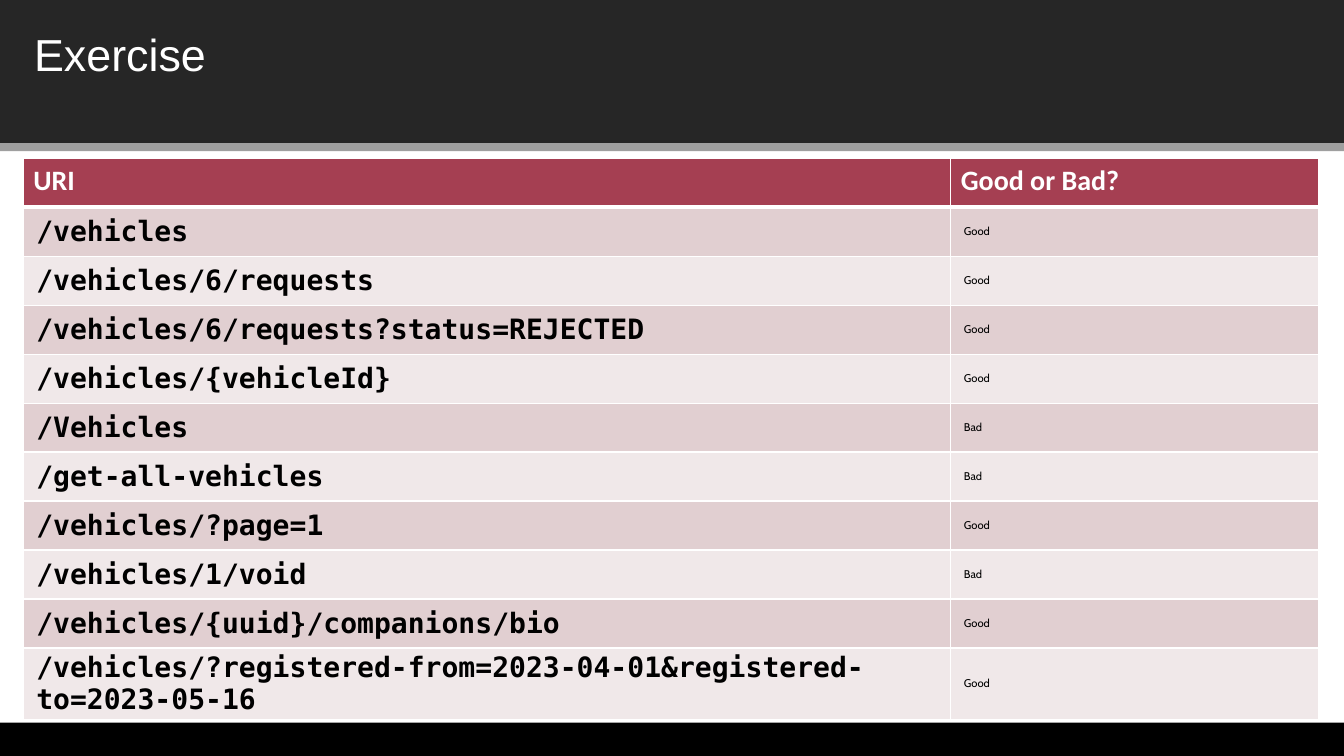
"""Build the slide that sorts vehicle URIs into good and bad ones."""
from dataclasses import dataclass

from lxml.etree import SubElement
from pptx import Presentation
from pptx.dml.color import RGBColor
from pptx.enum.shapes import MSO_SHAPE as Preset
from pptx.enum.text import MSO_ANCHOR as Anchor
from pptx.oxml.ns import qn
from pptx.slide import Slide
from pptx.table import _Cell as Cell
from pptx.text.text import TextFrame
from pptx.util import Inches, Pt

COLORS = {
    "banner": "262626",
    "rule": "9F9F9F",
    "footer": "000000",
    "header": "A53F52",
    "odd": "E1CFD1",
    "even": "F0E8E9",
    "light": "FFFFFF",
    "dark": "000000",
}
WIDTH, HEIGHT = Inches(13.33), Inches(7.5)
COLUMN, ROW = WIDTH / 1333, HEIGHT / 750
TABLE_COLUMNS = (920, 365)
TABLE_ROW, LAST_ROW = 48.6, 71
HEADINGS = ("URI", "Good or Bad?")


@dataclass(frozen=True)
class Area:
    left: float
    top: float
    width: float
    height: float

    def lengths(self) -> tuple[int, int, int, int]:
        return (int(self.left * COLUMN), int(self.top * ROW),
                int(self.width * COLUMN), int(self.height * ROW))


@dataclass(frozen=True)
class Bar:
    area: Area
    color: str


@dataclass(frozen=True)
class Style:
    font: str
    size: int
    color: str
    bold: bool = False


@dataclass(frozen=True)
class Answer:
    uri: str
    verdict: str


BARS = (
    Bar(Area(0, 0, 1333, 142), "banner"),
    Bar(Area(0, 142, 1333, 8), "rule"),
    Bar(Area(0, 717, 1333, 33), "footer"),
)
TITLE_AREA = Area(24, 22, 1284, 64)
TABLE_AREA = Area(23, 157, sum(TABLE_COLUMNS), 10 * TABLE_ROW + LAST_ROW)
TITLE_STYLE = Style("Arial", 32, "light")
HEADING_STYLE = Style("Calibri", 20, "light", True)
BODY_STYLES = (Style("DejaVu Sans Mono", 20, "dark", True), Style("Cabin", 8, "dark"))
ANSWERS = (
    Answer("/vehicles", "Good"),
    Answer("/vehicles/6/requests", "Good"),
    Answer("/vehicles/6/requests?status=REJECTED", "Good"),
    Answer("/vehicles/{vehicleId}", "Good"),
    Answer("/Vehicles", "Bad"),
    Answer("/get-all-vehicles", "Bad"),
    Answer("/vehicles/?page=1", "Good"),
    Answer("/vehicles/1/void", "Bad"),
    Answer("/vehicles/{uuid}/companions/bio", "Good"),
    Answer("/vehicles/?registered-from=2023-04-01&registered-to=2023-05-16", "Good"),
)


def color_of(name: str) -> RGBColor:
    return RGBColor.from_string(COLORS[name])


def write(frame: TextFrame, text: str, style: Style) -> None:
    frame.text = text
    span = frame.paragraphs[0].runs[0]
    span.font.name = style.font
    span.font.size = Pt(style.size)
    span.font.bold = style.bold
    span.font.color.rgb = color_of(style.color)


def draw_bar(page: Slide, bar: Bar) -> None:
    shape = page.shapes.add_shape(Preset.RECTANGLE, *bar.area.lengths())
    shape.shadow.inherit = False
    shape.fill.solid()
    shape.fill.fore_color.rgb = color_of(bar.color)
    shape.line.fill.background()


def draw_title(page: Slide) -> None:
    box = page.shapes.add_textbox(*TITLE_AREA.lengths())
    box.text_frame.word_wrap = True
    write(box.text_frame, "Exercise", TITLE_STYLE)


def paint_cell(cell: Cell, color: str, top: int = 1, bottom: int = 1) -> None:
    properties = cell._tc.get_or_add_tcPr()
    for side, width in (("L", 1), ("R", 1), ("T", top), ("B", bottom)):
        border = SubElement(properties, qn(f"a:ln{side}"), w=str(Pt(width)))
        fill = SubElement(border, qn("a:solidFill"))
        SubElement(fill, qn("a:srgbClr"), val=COLORS["light"])
    cell.fill.solid()
    cell.fill.fore_color.rgb = color_of(color)


def draw_table(page: Slide) -> None:
    frame = page.shapes.add_table(
        len(ANSWERS) + 1, len(TABLE_COLUMNS), *TABLE_AREA.lengths())
    table = frame.table
    for column, width in zip(table.columns, TABLE_COLUMNS):
        column.width = int(width * COLUMN)
    for row in table.rows:
        row.height = int(TABLE_ROW * ROW)
    table.rows[len(ANSWERS)].height = int(LAST_ROW * ROW)

    for cell, heading in zip(table.rows[0].cells, HEADINGS):
        paint_cell(cell, "header", bottom=3)
        write(cell.text_frame, heading, HEADING_STYLE)

    for number, answer in enumerate(ANSWERS, start=1):
        texts = (answer.uri, answer.verdict)
        for cell, text, style in zip(table.rows[number].cells, texts, BODY_STYLES):
            paint_cell(cell, "odd" if number % 2 else "even", top=3 if number == 1 else 1)
            cell.vertical_anchor = Anchor.MIDDLE
            cell.margin_left = cell.margin_right = int(13 * COLUMN)
            cell.margin_top = cell.margin_bottom = int(3 * ROW)
            write(cell.text_frame, text, style)


def main() -> None:
    deck = Presentation()
    deck.slide_width, deck.slide_height = WIDTH, HEIGHT
    page = deck.slides.add_slide(deck.slide_layouts[6])
    draw_table(page)
    for bar in BARS:
        draw_bar(page, bar)
    draw_title(page)
    deck.save("out.pptx")


if __name__ == "__main__":
    main()
